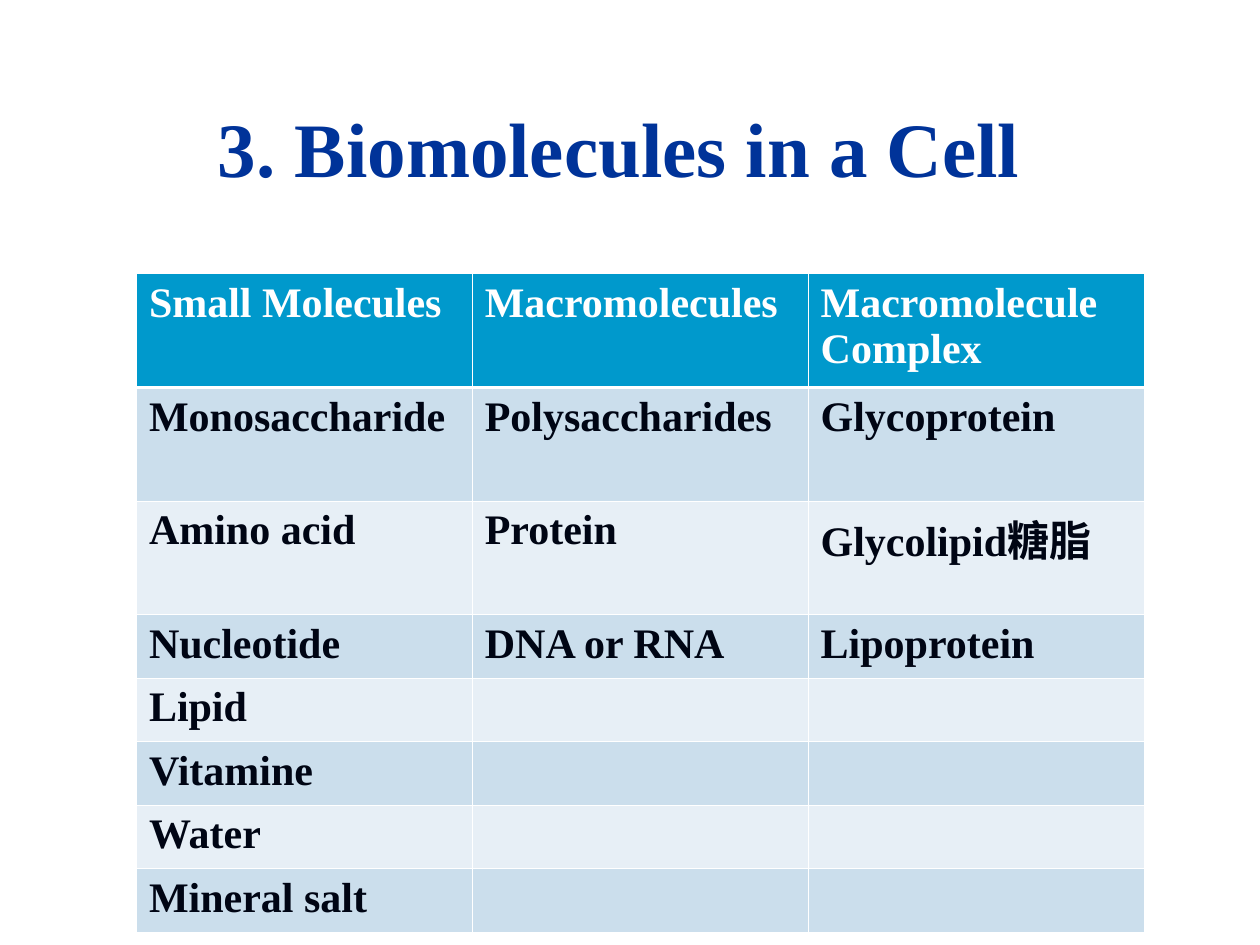
"""Build the slide that lists the biomolecules in a cell."""
from lxml.etree import SubElement
from pptx import Presentation
from pptx.dml.color import RGBColor
from pptx.enum.text import MSO_ANCHOR, PP_ALIGN
from pptx.oxml.ns import qn
from pptx.util import Cm, Pt


def style_text(paragraph, size, color):
    for span in paragraph.runs:
        span.font.name = "Times New Roman"
        span.font.size = Pt(size)
        span.font.bold = True
        span.font.color.rgb = RGBColor.from_string(color)


def add_border(cell, side, width):
    line = SubElement(cell._tc.get_or_add_tcPr(), qn(f"a:{side}"), w=str(Pt(width)))
    fill = SubElement(line, qn("a:solidFill"))
    SubElement(fill, qn("a:srgbClr"), val="FFFFFF")


deck = Presentation()
deck.slide_width, deck.slide_height = Cm(25.4), Cm(19.05)
page = deck.slides.add_slide(deck.slide_layouts[6])

title_box = page.shapes.add_textbox(Cm(0.84), Cm(1.27), Cm(23.29), Cm(3.38))
title_frame = title_box.text_frame
title_frame.word_wrap = True
title_frame.vertical_anchor = MSO_ANCHOR.MIDDLE
title_frame.text = "3. Biomolecules in a Cell"
title = title_frame.paragraphs[0]
title.alignment = PP_ALIGN.CENTER
style_text(title, 44, "003399")

molecules = [
    ("Small Molecules", "Macromolecules", "Macromolecule Complex"),
    ("Monosaccharide", "Polysaccharides", "Glycoprotein"),
    ("Amino acid", "Protein", "Glycolipid糖脂"),
    ("Nucleotide", "DNA or RNA", "Lipoprotein"),
    ("Lipid", "", ""),
    ("Vitamine", "", ""),
    ("Water", "", ""),
    ("Mineral salt", "", ""),
]
tall_rows = 3
table = page.shapes.add_table(
    len(molecules), 3, Cm(2.75), Cm(5.52), Cm(20.32), Cm(13.25)
).table
for column in table.columns:
    column.width = Cm(6.77)

for row_index, names in enumerate(molecules):
    is_header = row_index == 0
    table.rows[row_index].height = Cm(2.29 if row_index < tall_rows else 1.28)
    band = "0099CC" if is_header else ("E7EFF6", "CBDEEC")[row_index % 2]
    for column_index, name in enumerate(names):
        cell = table.cell(row_index, column_index)
        add_border(cell, "lnL", 0.45)
        add_border(cell, "lnR", 0.45)
        add_border(cell, "lnT", 1.47 if row_index == 1 else 0.45)
        add_border(cell, "lnB", 1.47 if is_header else 0.45)
        cell.fill.solid()
        cell.fill.fore_color.rgb = RGBColor.from_string(band)
        if name:
            cell.text_frame.text = name
            style_text(
                cell.text_frame.paragraphs[0], 24, "FFFFFF" if is_header else "000514"
            )

deck.save("out.pptx")
